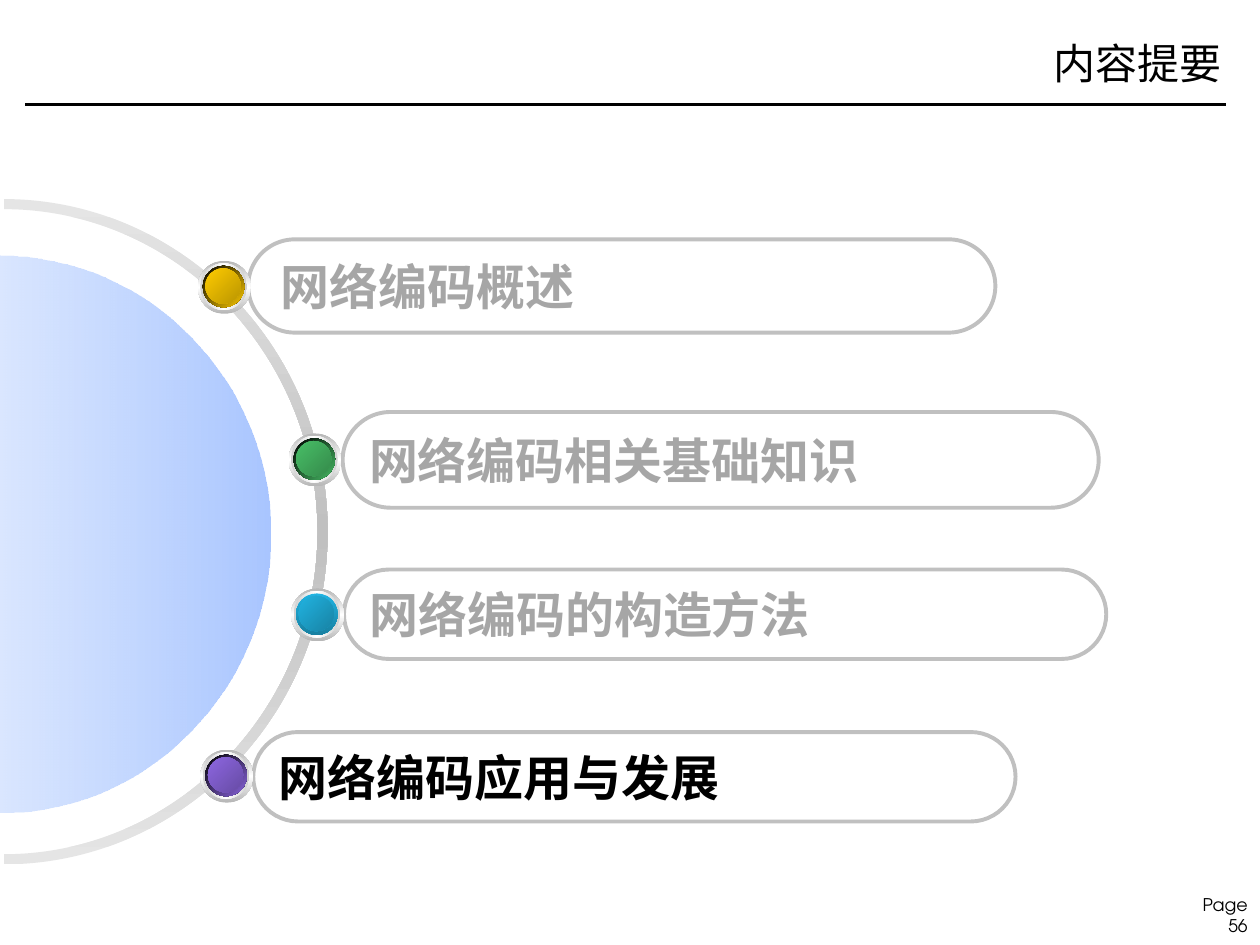
from dataclasses import dataclass

from pptx import Presentation
from pptx.dml.color import RGBColor as Rgb
from pptx.enum.shapes import MSO_CONNECTOR as Link, MSO_SHAPE as Geo
from pptx.enum.text import MSO_ANCHOR as Anchor, PP_ALIGN as Align
from pptx.oxml import parse_xml
from pptx.oxml.ns import nsdecls, qn
from pptx.util import Inches, Pt

GREY = "C0C0C0"
BLACK = "000000"
FADED = "A6A6A6"
WHITE = "FFFFFF"
BEND = 0.55


@dataclass
class Stop:
    spot: int
    tone: str
    alpha: int = 100


@dataclass
class Bar:
    text: str
    left: float
    top: float
    width: float
    height: float
    tone: str = FADED
    inset: float = 0.1


@dataclass
class Ball:
    left: float
    top: float
    light: str
    dark: str
    rim: tuple[str, str]
    turn: int = 45


@dataclass
class Oval:
    x: float
    y: float
    wide: float
    high: float


BARS = [
    Bar("网络编码概述", 1.97, 1.9, 5.93, 0.74, inset=0.15),
    Bar("网络编码相关基础知识", 2.72, 3.27, 6, 0.76),
    Bar("网络编码的构造方法", 2.73, 4.52, 6.05, 0.71),
    Bar("网络编码应用与发展", 2.01, 5.81, 6.05, 0.71, BLACK),
]
BALLS = [
    Ball(1.57, 2.07, "FFCC00", "BA9500", (BLACK, "FFCC00")),
    Ball(2.29, 3.44, "48BE67", "358B4B", (BLACK, "48BE67")),
    Ball(2.31, 4.67, "21B3E1", "1883A4", ("21B3E1", "1880A1"), 90),
    Ball(1.59, 5.95, "8D67E1", "674BA4", (BLACK, "8D67E1")),
]


def paint(tone: str) -> Rgb:
    return Rgb.from_string(tone)


def fade(stop: Stop) -> str:
    clear = f'<a:alpha val="{stop.alpha * 1000}"/>' if stop.alpha < 100 else ""
    return (f'<a:gs pos="{stop.spot * 1000}"><a:srgbClr val="{stop.tone}">'
            f'{clear}</a:srgbClr></a:gs>')


def blend(shape, stops: list[Stop], turn: int) -> None:
    shape.shadow.inherit = False
    shape.line.fill.background()
    shape.fill.background()
    marks = "".join(fade(stop) for stop in stops)
    fill = parse_xml(
        f'<a:gradFill {nsdecls("a")} rotWithShape="1"><a:gsLst>{marks}</a:gsLst>'
        f'<a:lin ang="{turn * 60000}" scaled="0"/></a:gradFill>'
    )
    props = shape.fill._xPr
    props.replace(props.find(qn("a:noFill")), fill)


def style(frame, text: str, size: int, face: str, tone: str, bold: bool = False,
          align: Align = Align.LEFT) -> None:
    frame.text = text
    frame.word_wrap = True
    line = frame.paragraphs[0]
    line.alignment = align
    font = line.runs[0].font
    font.size = Pt(size)
    font.name = face
    font.bold = bold
    font.color.rgb = paint(tone)


def arch(oval: Oval) -> list[tuple[int, int]]:
    units = [(-1, 0), (-1, -BEND), (-BEND, -1), (0, -1), (BEND, -1), (1, -BEND), (1, 0)]
    return [(Inches(oval.x + u * oval.wide), Inches(oval.y + v * oval.high))
            for u, v in units]


def trace(slide, arches: list[list[tuple[int, int]]], high: float):
    points = [point for curve in arches for point in curve]
    pen = slide.shapes.build_freeform(*points[0], scale=1.0)
    pen.add_line_segments(points[1:], close=True)
    shape = pen.convert_to_shape()
    track = next(shape.element.iter(qn("a:path")))
    lines = track.findall(qn("a:lnTo"))
    for start in range(0, len(lines), 7):
        for first in (start, start + 3):
            curve = parse_xml(f'<a:cubicBezTo {nsdecls("a")}/>')
            track.replace(lines[first], curve)
            for line in lines[first:first + 3]:
                curve.append(line[0])
            for line in lines[first + 1:first + 3]:
                track.remove(line)
    shape.height = Inches(high)
    track.set("h", str(Inches(high)))
    shape.rotation = 90
    return shape


def add_bar(slide, bar: Bar) -> None:
    shape = slide.shapes.add_shape(
        Geo.ROUNDED_RECTANGLE, Inches(bar.left), Inches(bar.top),
        Inches(bar.width), Inches(bar.height))
    shape.adjustments[0] = 0.5
    shape.shadow.inherit = False
    shape.fill.background()
    shape.line.color.rgb = paint(GREY)
    shape.line.width = Pt(2.25)
    frame = shape.text_frame
    style(frame, bar.text, 28, "Arial", bar.tone, True)
    frame.vertical_anchor = Anchor.MIDDLE
    frame.margin_left = Inches(bar.inset)


def add_ball(slide, ball: Ball) -> None:
    first, last = ball.rim
    layers = [
        (0, 0.42, [Stop(0, "B6B6B6"), Stop(50, WHITE), Stop(100, "B6B6B6")], 90),
        (0.02, 0.37, [Stop(0, "D1D1D1"), Stop(50, WHITE), Stop(100, "D1D1D1")], 0),
        (0.04, 0.33, [Stop(0, first), Stop(100, last)], ball.turn),
        (0.06, 0.28, [Stop(0, ball.light), Stop(100, ball.dark)], 45),
    ]
    group = slide.shapes.add_group_shape()
    for gap, size, stops, turn in layers:
        disc = group.shapes.add_shape(
            Geo.OVAL, Inches(ball.left + gap), Inches(ball.top + gap),
            Inches(size), Inches(size))
        blend(disc, stops, turn)


def add_head(slide) -> None:
    rule = slide.shapes.add_connector(
        Link.STRAIGHT, Inches(0.2), Inches(0.83), Inches(9.73), Inches(0.83))
    rule.line.color.rgb = paint(BLACK)
    rule.line.width = Pt(2)
    rule.element.spPr.append(parse_xml(f'<a:effectLst {nsdecls("a")}/>'))
    title = slide.shapes.add_textbox(
        Inches(7.27), Inches(0.12), Inches(2.52), Inches(0.75)).text_frame
    style(title, "内容提要", 24, "Times New Roman", BLACK, align=Align.RIGHT)
    title.vertical_anchor = Anchor.MIDDLE


def add_foot(slide) -> None:
    frame = slide.shapes.add_textbox(
        Inches(9.2), Inches(7.05), Inches(0.8), Inches(0.26)).text_frame
    style(frame, "Page 56", 10, "TeX Gyre Adventor", BLACK, align=Align.RIGHT)
    frame.margin_left = Inches(0.3)


def main() -> None:
    deck = Presentation()
    deck.slide_width, deck.slide_height = Inches(10), Inches(7.5)
    slide = deck.slides.add_slide(deck.slide_layouts[6])
    add_foot(slide)
    add_head(slide)
    inner = arch(Oval(-0.01, 4.18, 2.56, 2.49))
    outer = arch(Oval(-0.01, 4.18, 2.64, 2.57))
    ring = trace(slide, [inner, outer[::-1]], 5.22)
    blend(ring, [Stop(0, "E5E5E5"), Stop(50, GREY), Stop(100, "E5E5E5")], 0)
    dome = trace(slide, [arch(Oval(0, 4.24, 2.21, 2.15))], 4.3)
    blend(dome, [Stop(0, "6699FF", 56), Stop(100, WHITE, 48)], 90)
    for bar, ball in zip(BARS, BALLS):
        add_bar(slide, bar)
        add_ball(slide, ball)
    deck.save("out.pptx")


if __name__ == "__main__":
    main()
